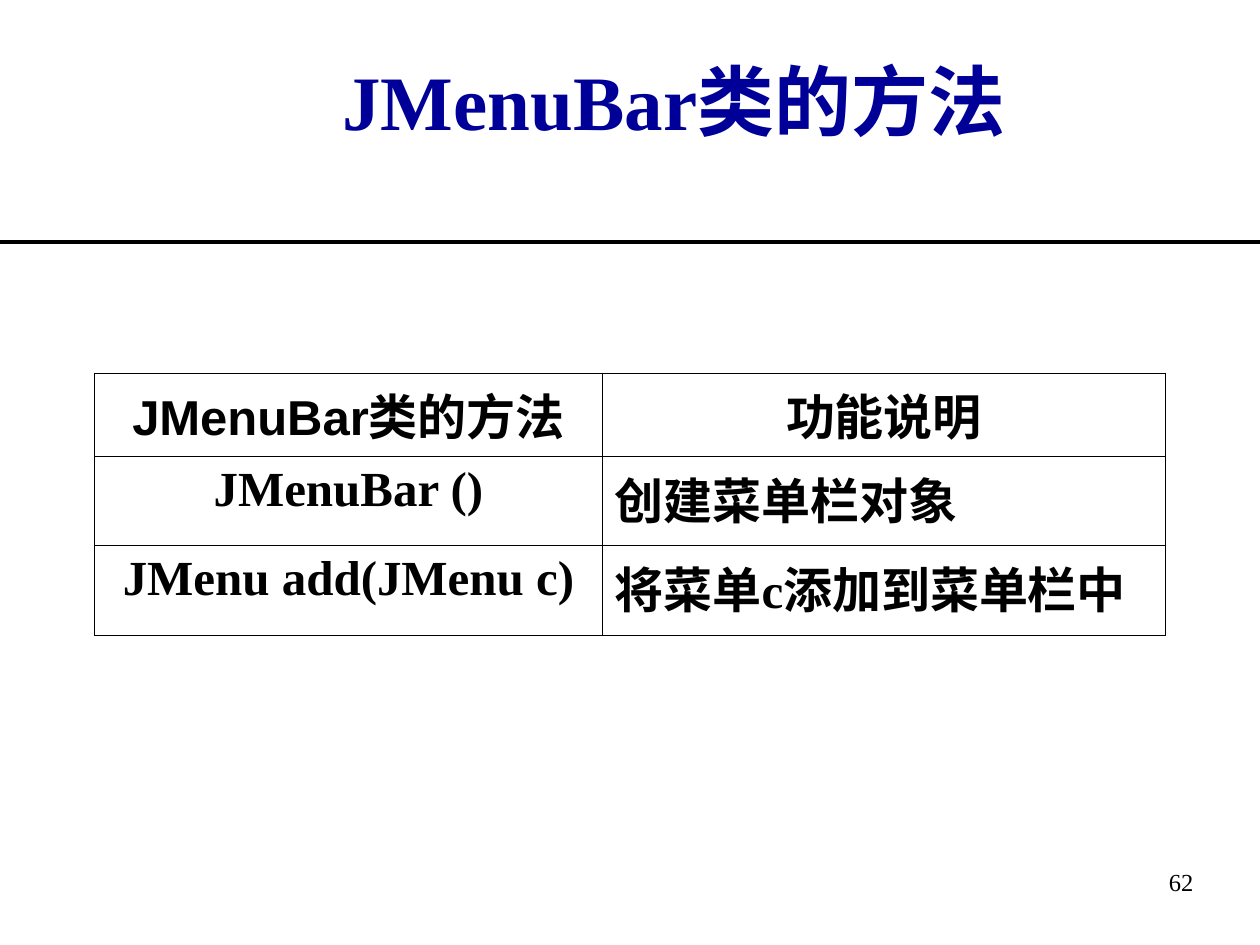
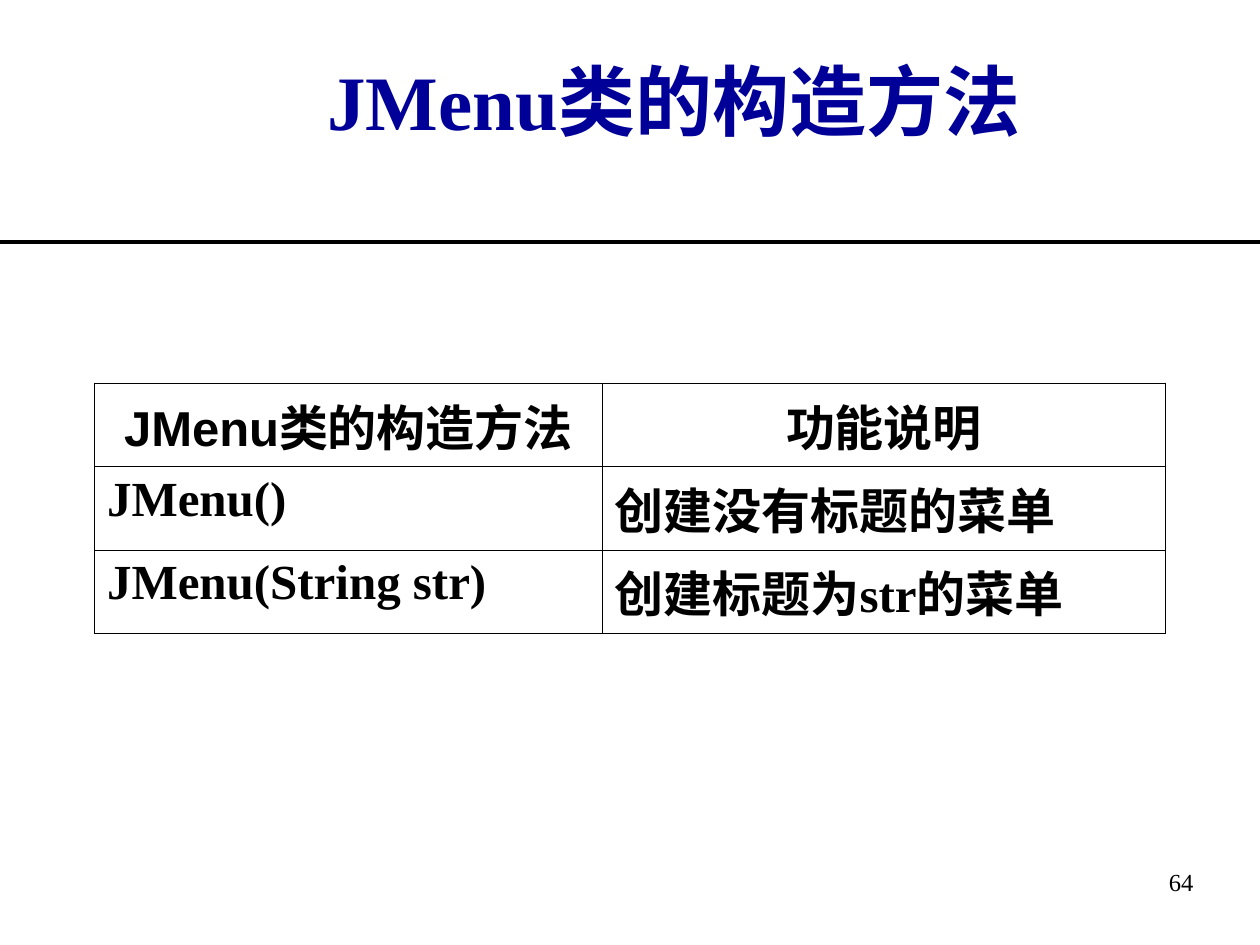
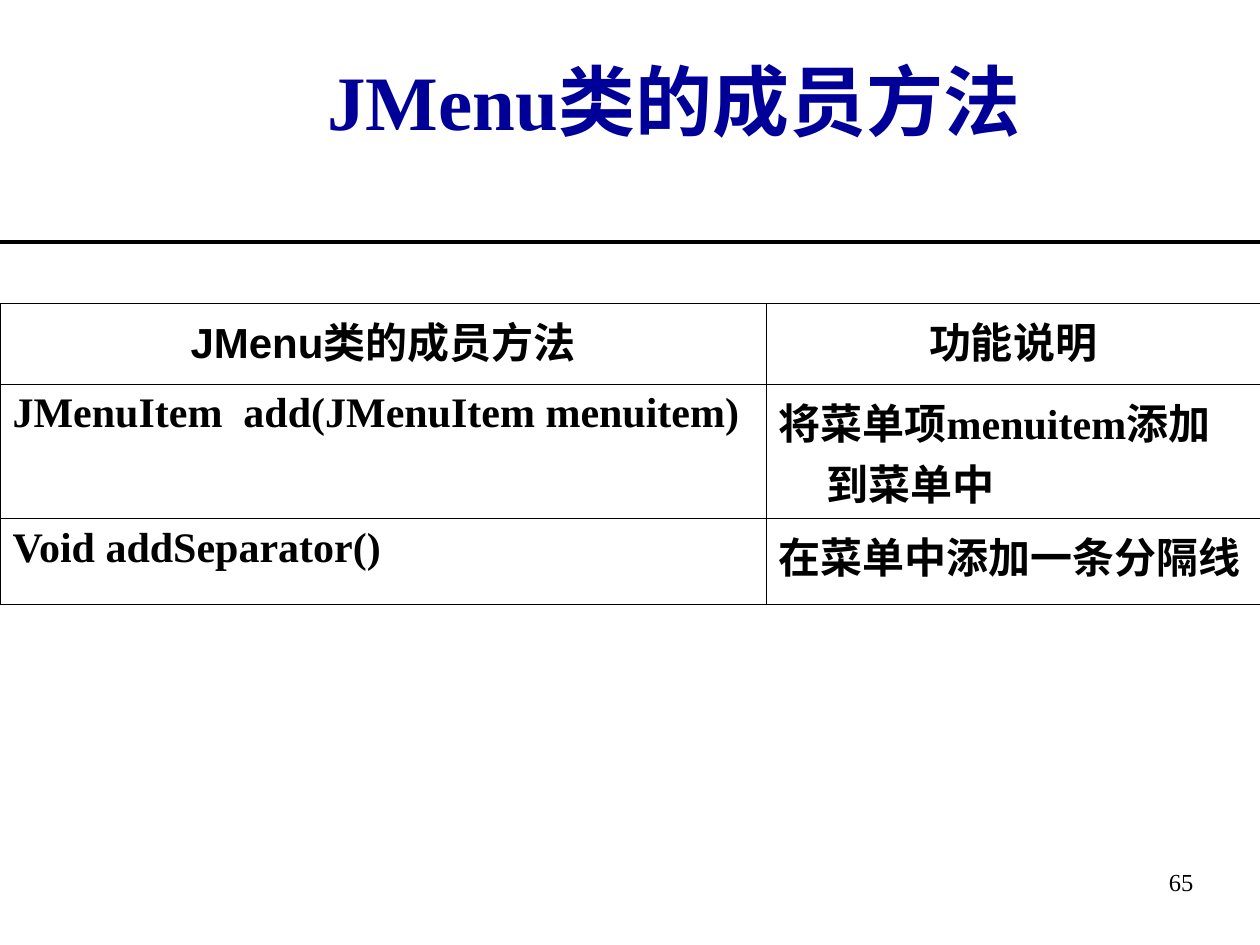
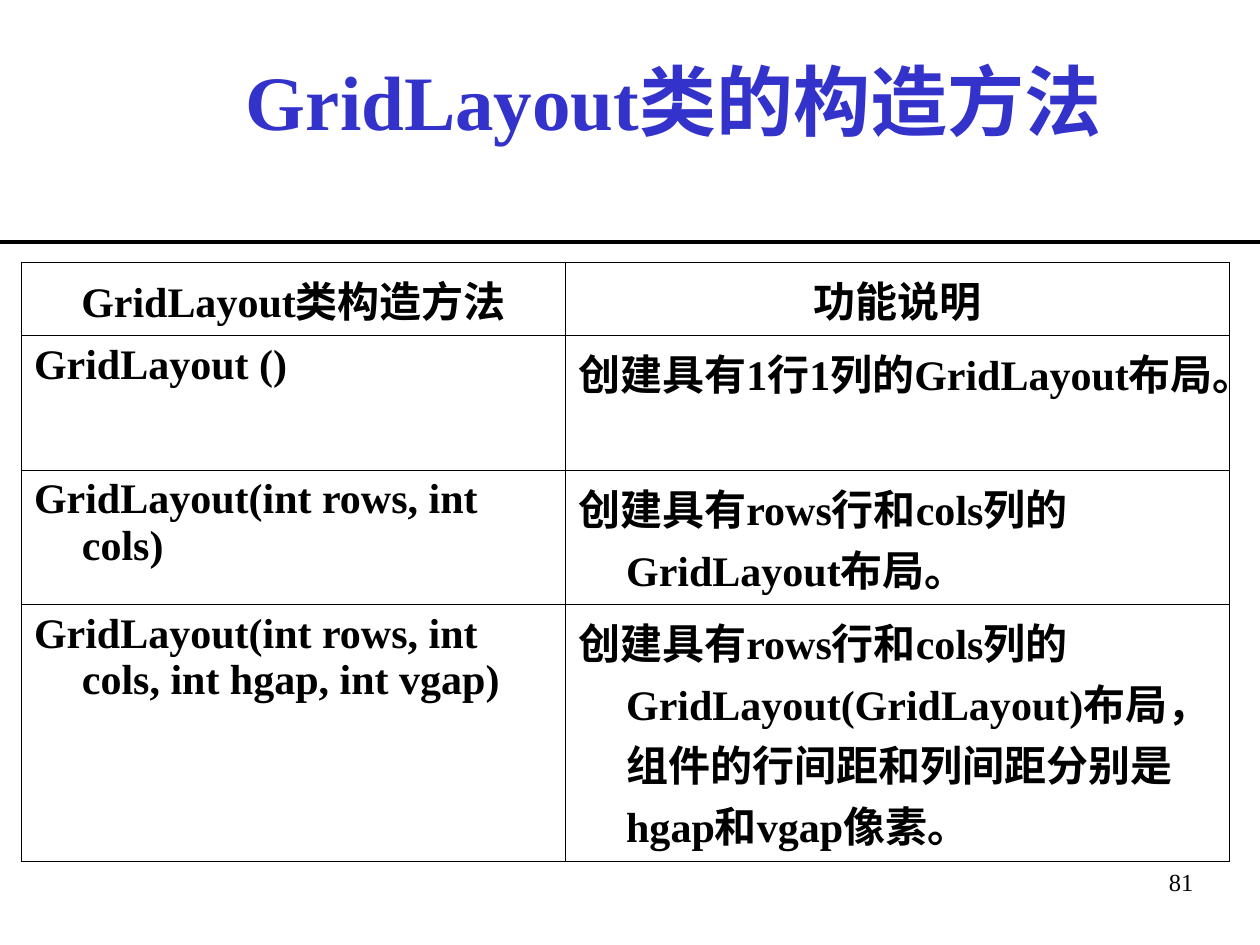
from lxml import etree
from pptx import Presentation
from pptx import util as u
from pptx.dml.color import RGBColor
from pptx.enum import shapes, text
from pptx.oxml import ns

WIDTH, HEIGHT = 10, 7.5
SERIF, SANS = "Times New Roman", "Arial"
BLACK, NAVY, BLUE = "000000", "000099", "3333CC"
HANGING = 0.38
BORDER_WIDTH = 0.45

# Each slide: heading, its colour, page number and method table.
# The header's first cell is a list of (text, font) pieces.
PAGES = [
    dict(heading="JMenuBar类的方法 ", color=NAVY, page="62",
         at=(0.75, 2.96), columns=(4.03, 4.47), rows=(0.64, 0.71, 0.71), size=28,
         header=[("JMenuBar类的方法", SANS)], center_methods=True,
         methods=[("JMenuBar ()", "创建菜单栏对象"),
                  ("JMenu add(JMenu c)", "将菜单c添加到菜单栏中")]),
    dict(heading="JMenu类的构造方法 ", color=NAVY, page="64",
         at=(0.75, 3.04), columns=(4.03, 4.47), rows=(0.64, 0.63, 0.63), size=28,
         header=[("JMenu类的构造方法", SANS)],
         methods=[("JMenu()", "创建没有标题的菜单"),
                  ("JMenu(String str)", "创建标题为str的菜单")]),
    dict(heading="JMenu类的成员方法 ", color=NAVY, page="65",
         at=(0, 2.41), columns=(6.08, 3.92), rows=(0.64, 1.03, 0.68), size=24,
         header=[("JMenu类的成员方法", SANS)],
         methods=[("JMenuItem  add(JMenuItem menuitem)", "将菜单项menuitem添加到菜单中"),
                  ("Void addSeparator()", "在菜单中添加一条分隔线")]),
    dict(heading="GridLayout类的构造方法 ", color=BLUE, page="81",
         at=(0.17, 2.08), columns=(4.32, 5.27), rows=(0.5, 0.9, 0.9, 1.7), size=24,
         header=[("GridLayout", SERIF), ("类构造方法", SANS)],
         methods=[("GridLayout ()", "创建具有1行1列的GridLayout布局。"),
                  ("GridLayout(int rows, int cols)", "创建具有rows行和cols列的GridLayout布局。"),
                  ("GridLayout(int rows, int cols, int hgap, int vgap)",
                   "创建具有rows行和cols列的GridLayout(GridLayout)布局，"
                   "组件的行间距和列间距分别是hgap和vgap像素。")]),
]


def rgb(color):
    return RGBColor.from_string(color)


def style(run, size, font=SERIF, color=BLACK, bold=False):
    run.font.name, run.font.size, run.font.bold = font, u.Pt(size), bold
    run.font.color.rgb = rgb(color)


def add_heading(slide, heading, color):
    title = slide.shapes.title
    title.left, title.top = u.Inches(1.17), u.Inches(0.17)
    title.width, title.height = u.Inches(8.5), u.Inches(1.25)
    frame = title.text_frame
    frame.text = heading
    frame.auto_size = text.MSO_AUTO_SIZE.NONE
    frame.vertical_anchor = text.MSO_ANCHOR.MIDDLE
    paragraph = frame.paragraphs[0]
    paragraph.alignment = text.PP_ALIGN.CENTER
    style(paragraph.runs[0], 44, color=color, bold=True)


def add_rule(slide):
    y = u.Inches(1.92)
    rule = slide.shapes.add_connector(shapes.MSO_CONNECTOR.STRAIGHT, 0, y, u.Inches(WIDTH), y)
    rule.line.color.rgb = rgb(BLACK)
    rule.line.width = u.Pt(2.25)
    etree.SubElement(rule._element.spPr, ns.qn("a:effectLst"))


def add_page_number(slide, page):
    box = slide.shapes.add_textbox(u.Inches(8.99), u.Inches(6.83), u.Inches(0.58), u.Inches(0.67))
    frame = box.text_frame
    frame.word_wrap = True
    frame.text = page
    paragraph = frame.paragraphs[0]
    paragraph.alignment = text.PP_ALIGN.RIGHT
    style(paragraph.runs[0], 14)


def set_borders(cell):
    """Give the cell thin black sides; borders come before the fill."""
    properties = cell._tc.get_or_add_tcPr()
    for position, side in enumerate(("lnL", "lnR", "lnT", "lnB")):
        line = etree.Element(ns.qn(f"a:{side}"), w=str(u.Pt(BORDER_WIDTH)))
        fill = etree.SubElement(line, ns.qn("a:solidFill"))
        etree.SubElement(fill, ns.qn("a:srgbClr"), val=BLACK)
        properties.insert(position, line)


def fill_cell(cell, pieces, size, centered):
    cell.fill.background()
    set_borders(cell)
    paragraph = cell.text_frame.paragraphs[0]
    paragraph.alignment = text.PP_ALIGN.CENTER if centered else text.PP_ALIGN.LEFT
    indent = paragraph._p.get_or_add_pPr()
    indent.set("marL", str(u.Inches(HANGING)))
    indent.set("indent", str(-u.Inches(HANGING)))
    for words, font in pieces:
        run = paragraph.add_run()
        run.text = words
        style(run, size, font, bold=True)


def add_method_table(slide, at, columns, rows, size, header, methods, center_methods=False):
    left, top = at
    table = slide.shapes.add_table(
        len(rows), len(columns), u.Inches(left), u.Inches(top),
        u.Inches(sum(columns)), u.Inches(sum(rows))).table
    table.first_row = table.horz_banding = False
    for column, width in zip(table.columns, columns):
        column.width = u.Inches(width)
    for row, height in zip(table.rows, rows):
        row.height = u.Inches(height)

    # Header row
    fill_cell(table.cell(0, 0), header, size, True)
    fill_cell(table.cell(0, 1), [("功能说明", SANS)], size, True)
    # One row per method
    for index, (method, purpose) in enumerate(methods, start=1):
        fill_cell(table.cell(index, 0), [(method, SERIF)], size, center_methods)
        fill_cell(table.cell(index, 1), [(purpose, SERIF)], size, False)


def main():
    deck = Presentation()
    deck.slide_width, deck.slide_height = u.Inches(WIDTH), u.Inches(HEIGHT)
    title_only = deck.slide_layouts[5]
    for content in PAGES:
        table = dict(content)
        slide = deck.slides.add_slide(title_only)
        add_heading(slide, table.pop("heading"), table.pop("color"))
        page = table.pop("page")
        add_method_table(slide, **table)
        add_rule(slide)
        add_page_number(slide, page)
    deck.save("out.pptx")


if __name__ == "__main__":
    main()
